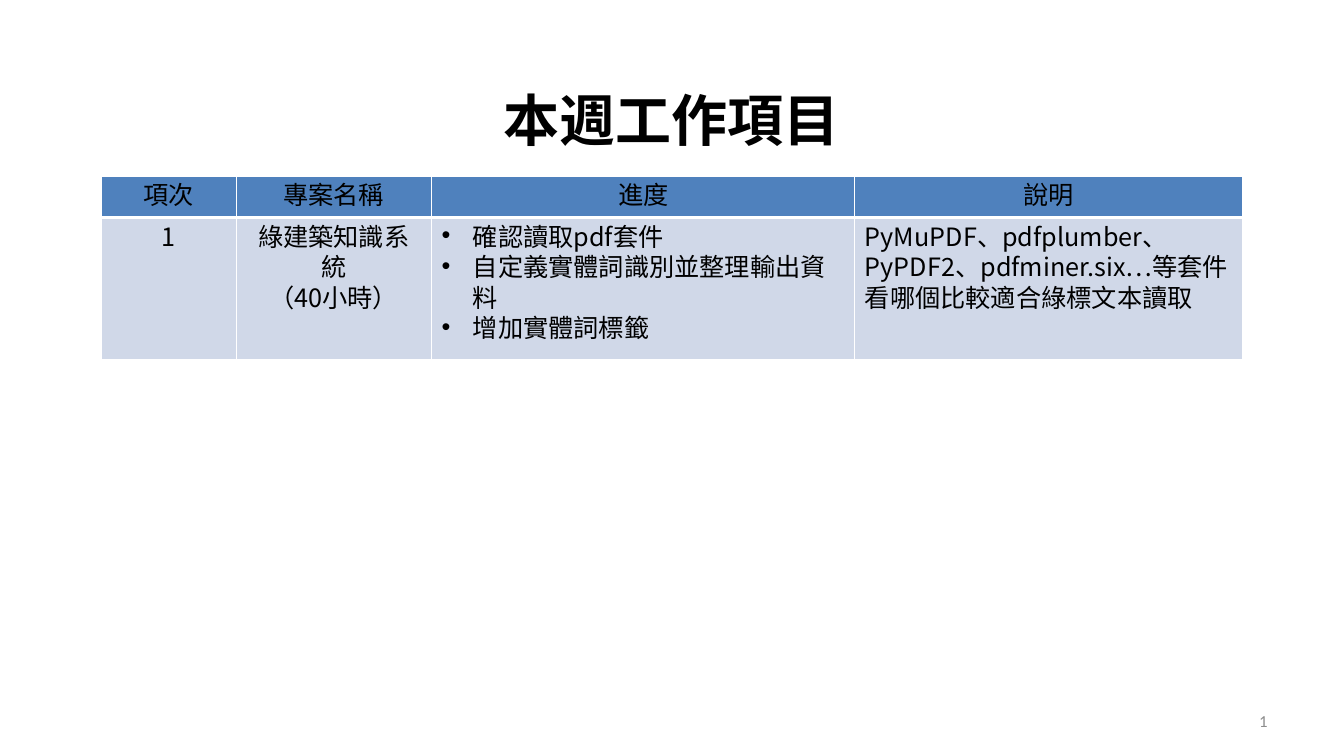
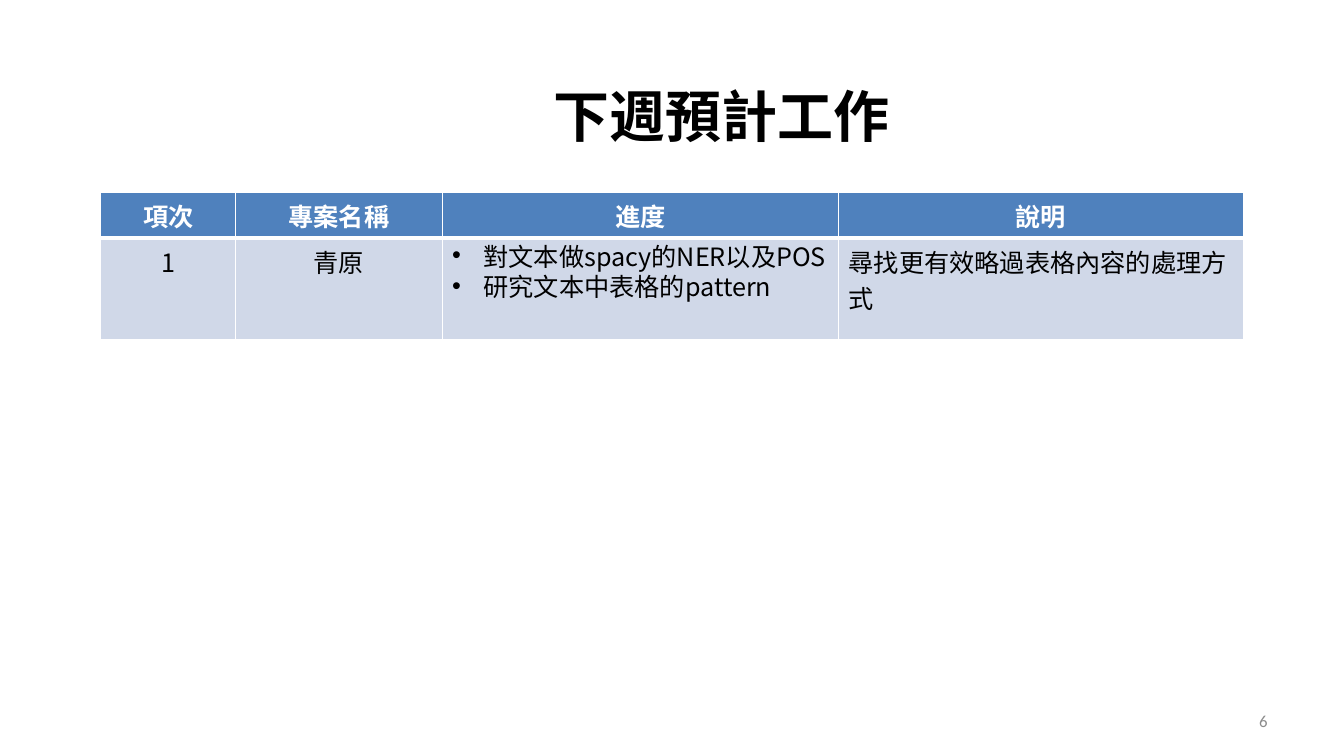
from dataclasses import dataclass

import lxml.etree
import pptx
import pptx.dml.color
import pptx.enum.text
import pptx.oxml.ns
import pptx.util

RGBColor = pptx.dml.color.RGBColor
Align = pptx.enum.text.PP_ALIGN
Pt = pptx.util.Pt
qn = pptx.oxml.ns.qn

# Shared look
BLACK = RGBColor(0x00, 0x00, 0x00)
WHITE = RGBColor(0xFF, 0xFF, 0xFF)
GREY = RGBColor(0x8C, 0x8C, 0x8C)
HEADER_BLUE = RGBColor(0x4F, 0x81, 0xBD)
ROW_BLUE = RGBColor(0xD0, 0xD8, 0xE8)
SC, TC, CALIBRI = "Noto Sans CJK SC", "Noto Sans CJK TC", "Calibri"
SLIDE_WIDTH = pptx.util.Inches(13.33)
SLIDE_HEIGHT = pptx.util.Inches(7.5)
TIGHT = 21.8
BULLET_INDENT = pptx.util.Inches(0.31)
HEADINGS = ("項次", "專案名稱", "進度", "說明")


@dataclass(frozen=True)
class TextStyle:
    size: float
    color: RGBColor
    latin: str
    east_asian: str
    bold: bool = False
    align: Align = Align.LEFT
    spacing: float | None = None
    bulleted: bool = False


@dataclass(frozen=True)
class Entry:
    lines: tuple[str, ...]
    style: TextStyle


@dataclass(frozen=True)
class WorkPage:
    """Positions and sizes are percentages of the slide."""
    title: str
    number: str
    title_left: float
    title_top: float
    table_left: float
    table_top: float
    columns: tuple[float, ...]
    rows: tuple[float, ...]
    thin: float
    thick: float
    heading: TextStyle
    entries: tuple[Entry, ...]


TITLE = TextStyle(40, BLACK, SC, SC, bold=True, align=Align.CENTER)
NUMBER = TextStyle(12, GREY, CALIBRI, TC, align=Align.RIGHT)
CENTERED = TextStyle(18, BLACK, TC, TC, align=Align.CENTER)
CENTERED_TIGHT = TextStyle(18, BLACK, TC, TC, align=Align.CENTER, spacing=TIGHT)
BULLETS = TextStyle(18, BLACK, TC, TC, spacing=TIGHT, bulleted=True)
REMARK = TextStyle(18, BLACK, TC, TC)
REMARK_TIGHT = TextStyle(18, BLACK, SC, TC, spacing=TIGHT)
WHITE_HEADING = TextStyle(18, WHITE, CALIBRI, TC, bold=True, align=Align.CENTER)

# Content
PAGES = (
    WorkPage(
        "本週工作項目", "1", 27.23, 10.67, 7.58, 23.33,
        (9.98, 14.55, 31.5, 28.81), (5.47, 18.8), 0.75, 2.18, CENTERED_TIGHT,
        (
            Entry(("1",), CENTERED_TIGHT),
            Entry(("綠建築知識系統\n（40小時）",), CENTERED_TIGHT),
            Entry(("確認讀取pdf套件", "自定義實體詞識別並整理輸出資料",
                   "增加實體詞標籤"), BULLETS),
            Entry(("PyMuPDF、pdfplumber、PyPDF2、pdfminer.six…等套件"
                   "看哪個比較適合綠標文本讀取",), REMARK_TIGHT),
        ),
    ),
    WorkPage(
        "下週預計工作", "6", 30.98, 10.13, 7.5, 25.47,
        (10.05, 15.35, 29.5, 30.1), (6, 13.2), 1, 3, WHITE_HEADING,
        (
            Entry(("1",), CENTERED),
            Entry(("青原",), CENTERED),
            Entry(("對文本做spacy的NER以及POS", "研究文本中表格的pattern"), BULLETS),
            Entry(("尋找更有效略過表格內容的處理方式",), REMARK),
        ),
    ),
)


def across(percent: float) -> int:
    return round(SLIDE_WIDTH * percent / 100)


def down(percent: float) -> int:
    return round(SLIDE_HEIGHT * percent / 100)


def write_lines(frame, lines: tuple[str, ...], style: TextStyle) -> None:
    for index, line in enumerate(lines):
        paragraph = frame.add_paragraph() if index else frame.paragraphs[0]
        paragraph.text = line
        paragraph.alignment = style.align
        if style.spacing:
            paragraph.line_spacing = Pt(style.spacing)
        if style.bulleted:
            properties = paragraph._p.get_or_add_pPr()
            properties.set("marL", str(BULLET_INDENT))
            properties.set("indent", str(-BULLET_INDENT))
            lxml.etree.SubElement(properties, qn("a:buFont"), typeface="Arial")
            lxml.etree.SubElement(properties, qn("a:buChar"), char="•")
        for run in paragraph.runs:
            font = run.font
            font.size, font.bold = Pt(style.size), style.bold
            font.color.rgb = style.color
            font.name = style.latin
            lxml.etree.SubElement(run._r.get_or_add_rPr(), qn("a:ea"),
                                  typeface=style.east_asian)


def add_label(slide, text: str, style: TextStyle, left: float, top: float,
              width: float, height: float) -> None:
    label = slide.shapes.add_textbox(across(left), down(top),
                                     across(width), down(height))
    frame = label.text_frame
    frame.word_wrap = True
    frame.vertical_anchor = pptx.enum.text.MSO_ANCHOR.MIDDLE
    write_lines(frame, (text,), style)


def set_borders(cell, thin: float, top: float, bottom: float) -> None:
    properties = cell._tc.get_or_add_tcPr()
    edges = {"a:lnL": thin, "a:lnR": thin, "a:lnT": top, "a:lnB": bottom}
    for edge, weight in edges.items():
        line = lxml.etree.SubElement(properties, qn(edge), w=str(Pt(weight)))
        fill = lxml.etree.SubElement(line, qn("a:solidFill"))
        lxml.etree.SubElement(fill, qn("a:srgbClr"), val=str(WHITE))


def add_work_table(slide, page: WorkPage) -> None:
    headings = tuple(Entry((name,), page.heading) for name in HEADINGS)
    table = slide.shapes.add_table(
        len(page.rows), len(page.columns),
        across(page.table_left), down(page.table_top),
        across(sum(page.columns)), down(sum(page.rows))).table
    table.first_row = table.horz_banding = False
    for column, width in zip(table.columns, page.columns):
        column.width = across(width)
    bands = (
        (headings, HEADER_BLUE, page.thin, page.thick),
        (page.entries, ROW_BLUE, page.thick, page.thin),
    )
    for index, (entries, color, top, bottom) in enumerate(bands):
        table.rows[index].height = down(page.rows[index])
        for cell, entry in zip(table.rows[index].cells, entries):
            set_borders(cell, page.thin, top, bottom)
            cell.fill.solid()
            cell.fill.fore_color.rgb = color
            write_lines(cell.text_frame, entry.lines, entry.style)


def main() -> None:
    deck = pptx.Presentation()
    deck.slide_width, deck.slide_height = SLIDE_WIDTH, SLIDE_HEIGHT
    for page in PAGES:
        slide = deck.slides.add_slide(deck.slide_layouts[6])
        add_label(slide, page.number, NUMBER, 71.72, 92.67, 23.33, 5.33)
        add_label(slide, page.title, TITLE, page.title_left, page.title_top,
                  45.46, 10.27)
        add_work_table(slide, page)
    deck.save("out.pptx")


if __name__ == "__main__":
    main()
